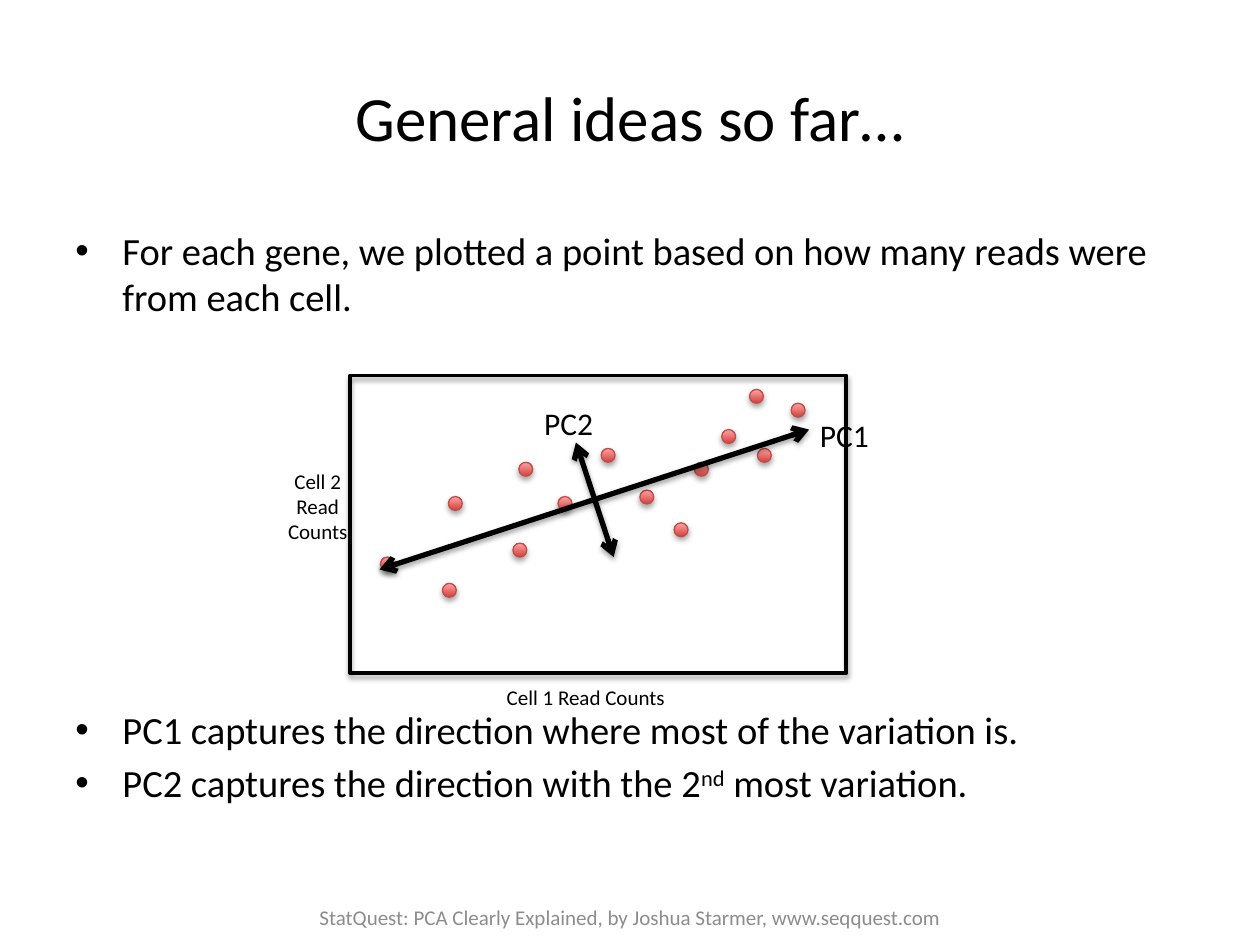
"""Builds a slide that sums up what the first two principal components show."""
from lxml import etree
from pptx import Presentation
from pptx import util as u
from pptx.dml.color import RGBColor
from pptx.enum import shapes, text
from pptx.oxml import ns

BLACK = RGBColor(0, 0, 0)
GRAY = RGBColor(0x8C, 0x8C, 0x8C)
RED = RGBColor(0xD1, 0x40, 0x3C)
PINK = RGBColor(0xFF, 0xA6, 0xA5)
RIM = RGBColor(0xBF, 0x4C, 0x48)
MID = text.PP_ALIGN.CENTER
LEFT = text.PP_ALIGN.LEFT
DOT = 0.28
DOTS = [
    (7.67, 11.23), (9.04, 10.01), (8.92, 11.76), (10.34, 10.95),
    (15.95, 8.13), (15.27, 9.04), (12.12, 9.04), (11.25, 10.01),
    (10.46, 9.32), (13.59, 10.54), (14.55, 8.66), (15.11, 7.85),
    (14, 9.32), (12.9, 9.88),
]


def add(node, tag, **attrs):
    child = etree.SubElement(node, ns.qn(tag))
    for key, val in attrs.items():
        child.set(key, str(val))
    return child


class Pen:
    font = "Calibri"

    def __init__(self, slide):
        self.slide = slide

    def shade(self, effects, alpha, drop):
        cast = add(effects, "a:outerShdw", blurRad=u.Pt(3.1), dist=u.Pt(drop),
                   dir=90 * 60000, rotWithShape=0)
        add(add(cast, "a:srgbClr", val="000000"), "a:alpha", val=alpha * 1000)

    def label(self, place, lines, size, color=BLACK, align=MID, wrap=True,
              bullet=False, anchor=text.MSO_ANCHOR.TOP):
        box = self.slide.shapes.add_textbox(*map(u.Cm, place))
        frame = box.text_frame
        frame.word_wrap = wrap
        frame.vertical_anchor = anchor
        for i, runs in enumerate(lines):
            para = frame.paragraphs[0] if i == 0 else frame.add_paragraph()
            para.alignment = align
            if bullet:
                if i:
                    para.space_before = u.Pt(size * 0.2)
                props = para._p.get_or_add_pPr()
                props.set("marL", str(u.Cm(0.95)))
                props.set("indent", str(u.Cm(-0.95)))
                add(props, "a:buFont", typeface="Arial")
                add(props, "a:buChar", char="•")
            for words, base in runs:
                run = para.add_run()
                run.text = words
                run.font.name = self.font
                run.font.size = u.Pt(size)
                run.font.color.rgb = color
                if base:
                    run.font._element.set("baseline", str(base * 1000))

    def shape(self, kind, place, color, width):
        item = self.slide.shapes.add_shape(kind, *map(u.Cm, place))
        item.fill.background()
        item.line.color.rgb = color
        item.line.width = u.Pt(width)
        item.shadow.inherit = False
        self.shade(item._element.spPr.find(ns.qn("a:effectLst")), 35, 1.8)
        return item

    def dot(self, x, y):
        item = self.shape(shapes.MSO_SHAPE.OVAL, (x, y, DOT, DOT), RIM, 0.75)
        item.fill.gradient()
        item.fill.gradient_angle = 90
        for stop, color, pos in zip(item.fill.gradient_stops, (RED, PINK), (0, 1)):
            stop.color.rgb = color
            stop.position = pos

    def arrow(self, *ends):
        item = self.slide.shapes.add_connector(
            shapes.MSO_CONNECTOR.STRAIGHT, *map(u.Cm, ends))
        item.line.color.rgb = BLACK
        item.line.width = u.Pt(3)
        props = item._element.spPr
        line = props.find(ns.qn("a:ln"))
        add(line, "a:headEnd", type="arrow")
        add(line, "a:tailEnd", type="arrow")
        self.shade(add(props, "a:effectLst"), 38, 1.6)


def main():
    deck = Presentation()
    deck.slide_width, deck.slide_height = u.Cm(25.4), u.Cm(19.05)
    pen = Pen(deck.slides.add_slide(deck.slide_layouts[6]))
    center = text.MSO_ANCHOR.MIDDLE

    pen.label((1.27, 0.76, 22.86, 3.18), [[("General ideas so far…", 0)]], 36,
              anchor=center)
    pen.label((1.27, 4.45, 22.86, 2.3), [
        [("For each gene, we plotted a point based on how many reads were "
          "from each cell.", 0)],
    ], 22, align=LEFT, bullet=True)
    pen.label((1.27, 14.1, 22.86, 2.4), [
        [("PC1 captures the direction where most of the variation is.", 0)],
        [("PC2 captures the direction with the 2", 0), ("nd", 30),
         (" most variation.", 0)],
    ], 22, align=LEFT, bullet=True)

    pen.label((5.11, 9.32, 2.59, 1.8), [[("Cell 2", 0)], [("Read Counts", 0)]], 12)
    pen.label((8.76, 13.67, 6.1, 0.76), [[("Cell 1 Read Counts", 0)]], 12)
    pen.shape(shapes.MSO_SHAPE.RECTANGLE, (7.06, 7.57, 10, 6), BLACK, 2.25)
    for x, y in DOTS:
        pen.dot(x, y)
    pen.arrow(7.65, 11.48, 16.31, 8.66)
    pen.arrow(11.61, 8.92, 12.37, 11.23)
    for name, x, y in (("PC1", 16.28, 8.26), ("PC2", 10.72, 8.03)):
        pen.label((x, y, 1.5, 1.02), [[(name, 0)]], 18, align=LEFT, wrap=False)

    pen.label((4.78, 17.98, 15.85, 1.02), [
        [("StatQuest: PCA Clearly Explained, by Joshua Starmer, "
          "www.seqquest.com", 0)],
    ], 12, GRAY, anchor=center)
    deck.save("out.pptx")


if __name__ == "__main__":
    main()
